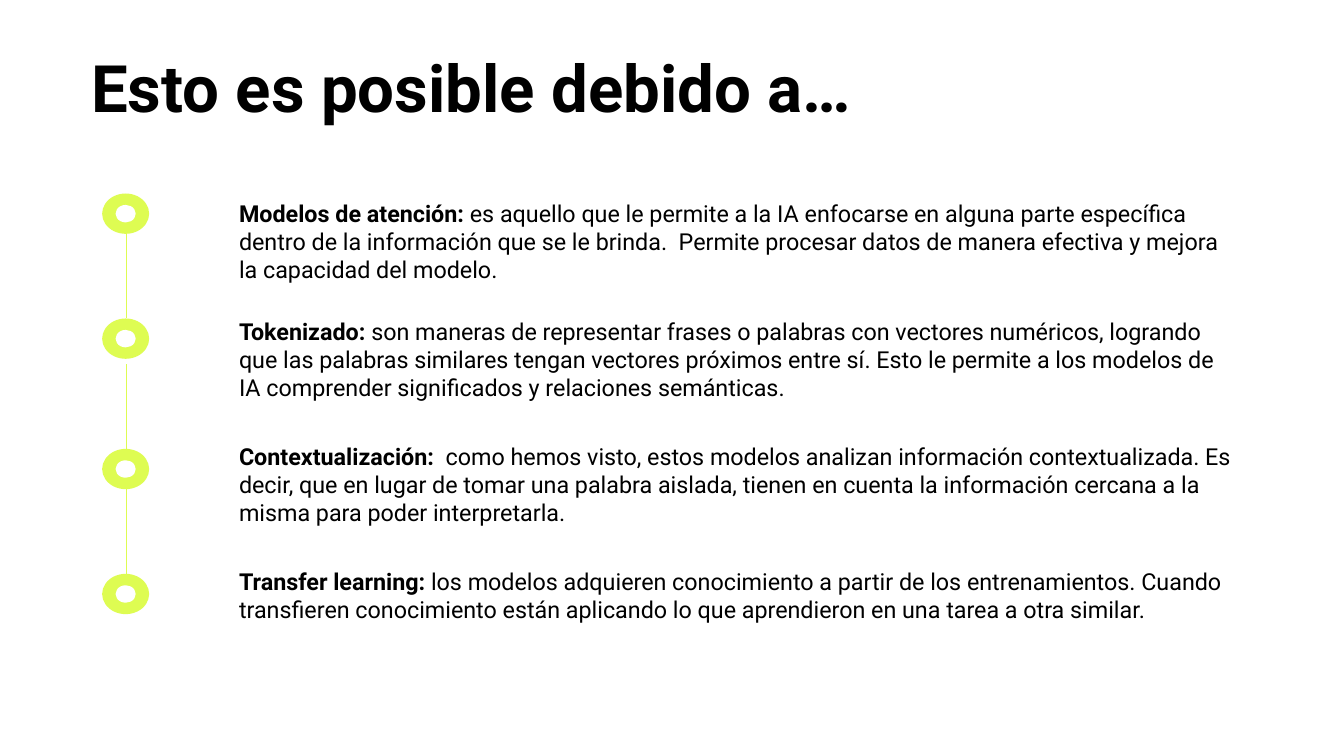
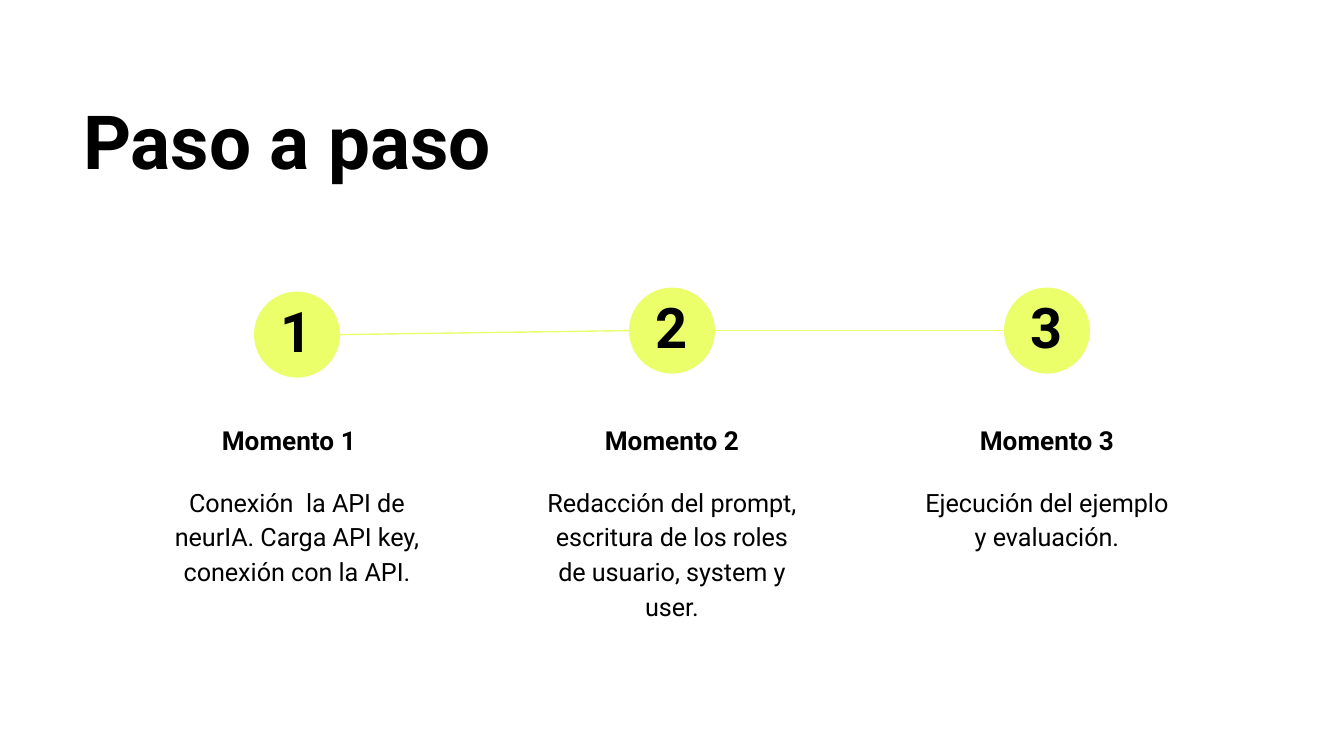
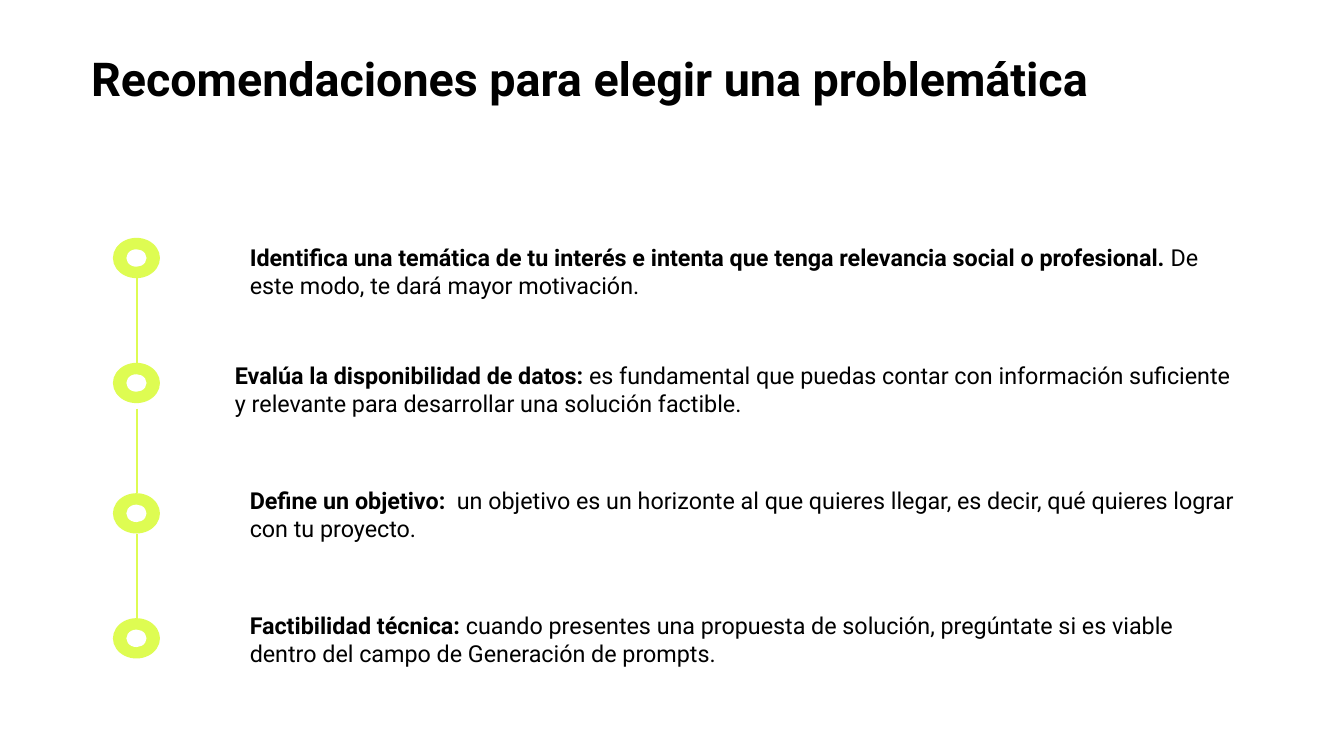
from lxml import etree
from pptx import Presentation
from pptx.dml.color import RGBColor
from pptx.enum.shapes import MSO_CONNECTOR, MSO_SHAPE
from pptx.enum.text import MSO_ANCHOR, PP_ALIGN
from pptx.oxml.ns import qn
from pptx.util import Inches, Pt

BLACK = RGBColor(0x00, 0x00, 0x00)
WHITE = RGBColor(0xFF, 0xFF, 0xFF)
LIME = RGBColor(0xDE, 0xFC, 0x52)
PALE_LIME = RGBColor(0xEA, 0xFF, 0x6A)
FONT = "Roboto"
LEFT, CENTER = PP_ALIGN.LEFT, PP_ALIGN.CENTER
TOP = MSO_ANCHOR.TOP
OVAL = MSO_SHAPE.OVAL
STRAIGHT = MSO_CONNECTOR.STRAIGHT

# Timeline: offsets from the top of its first ring
RING_OFFSETS = (0, 0.93, 1.9, 2.83)
TEXT_OFFSETS = (-0.06, 0.82, 1.75, 2.68)
TEXT_W = 7.59
RING_W, RING_H = 0.35, 0.3
HOLE_W, HOLE_H = 0.15, 0.13
AXIS = 0.18
LINK_LENGTH = 0.63

# Steps: three equal columns
FIRST_CENTER, COLUMN_STEP = 2.21, 2.79
CIRCLE = 0.64
LABEL_W, BODY_W = 2.14, 2.13
NUMBER_W, NUMBER_H = 0.45, 0.66


class Deck:
    """Holds the shared style and the slide being built."""

    def __init__(self):
        self.prs = Presentation()
        self.prs.slide_width = Inches(10)
        self.prs.slide_height = Inches(10) * 9 // 16
        self.slide = None

    def new_slide(self):
        self.slide = self.prs.slides.add_slide(self.prs.slide_layouts[6])
        self.slide.background.fill.solid()
        self.slide.background.fill.fore_color.rgb = WHITE

    def text(self, x, y, w, h, parts, size, align=LEFT, spacing=None):
        """Add one paragraph; parts are (wording, bold) pairs."""
        box = self.slide.shapes.add_textbox(Inches(x), Inches(y), Inches(w), Inches(h))
        frame = box.text_frame
        frame.word_wrap = True
        frame.vertical_anchor = TOP
        frame.margin_left = frame.margin_right = Inches(0.1)
        frame.margin_top = frame.margin_bottom = Inches(0.1)
        paragraph = frame.paragraphs[0]
        paragraph.alignment = align
        if spacing:
            paragraph.line_spacing = spacing
        for wording, bold in parts:
            run = paragraph.add_run()
            run.text = wording
            run.font.name = FONT
            run.font.size = Pt(size)
            run.font.bold = bold
            run.font.color.rgb = BLACK

    def title(self, x, y, w, h, wording, size):
        self.text(x, y, w, h, [(wording, True)], size, spacing=0.9)

    def ellipse(self, x, y, w, h, color):
        oval = self.slide.shapes.add_shape(OVAL, Inches(x), Inches(y), Inches(w), Inches(h))
        oval.shadow.inherit = False
        oval.fill.solid()
        oval.fill.fore_color.rgb = color
        oval.line.fill.background()

    def line(self, x1, y1, x2, y2, color):
        link = self.slide.shapes.add_connector(
            STRAIGHT, Inches(x1), Inches(y1), Inches(x2), Inches(y2))
        link.line.color.rgb = color
        link.line.width = Pt(0.75)
        etree.SubElement(link._element.spPr, qn("a:effectLst"))

    def ring(self, x, y):
        self.ellipse(x, y, RING_W, RING_H, LIME)
        self.ellipse(x + (RING_W - HOLE_W) / 2, y + (RING_H - HOLE_H) / 2,
                     HOLE_W, HOLE_H, WHITE)

    def timeline(self, x, y, text_height, items):
        """Add linked rings with a text each; items are (heading, body, outdent)."""
        for offset, (heading, body, outdent) in zip(TEXT_OFFSETS, items):
            self.text(x + 0.92 - outdent, y + offset, TEXT_W + outdent, text_height,
                      [(heading, True), (body, False)], 12.5)
        for offset in RING_OFFSETS:
            self.ring(x, y + offset)
        for offset in RING_OFFSETS[1:]:
            self.line(x + AXIS, y + offset - LINK_LENGTH, x + AXIS, y + offset, LIME)

    def step(self, center, circle_top, number, label, label_shift, body, body_height):
        self.ellipse(center - CIRCLE / 2, circle_top, CIRCLE, CIRCLE, PALE_LIME)
        self.text(center - NUMBER_W / 2, circle_top - 0.01, NUMBER_W, NUMBER_H,
                  [(number, True)], 30, CENTER, 0.9)
        self.text(center - LABEL_W / 2 + label_shift, 3.02, LABEL_W, 0.44,
                  [(label, True)], 14, CENTER, 1.15)
        self.text(center - BODY_W / 2, 3.49, BODY_W, body_height,
                  [(body, False)], 13.5, CENTER, 1.15)


def build_reasons(deck):
    deck.new_slide()
    deck.timeline(0.76, 1.44, 0.83, [
        ("Modelos de atención: ",
         "es aquello que le permite a la IA enfocarse en alguna parte específica dentro de "
         "la información que se le brinda.  Permite procesar datos de manera efectiva y "
         "mejora la capacidad del modelo.", 0),
        ("Tokenizado: ",
         "son maneras de representar frases o palabras con vectores numéricos, logrando que "
         "las palabras similares tengan vectores próximos entre sí. Esto le permite a los "
         "modelos de IA comprender significados y relaciones semánticas.", 0),
        ("Contextualización: ",
         " como hemos visto, estos modelos analizan información contextualizada. Es decir, "
         "que en lugar de tomar una palabra aislada, tienen en cuenta la información cercana "
         "a la misma para poder interpretarla.", 0),
        ("Transfer learning:",
         " los modelos adquieren conocimiento a partir de los entrenamientos. Cuando "
         "transfieren conocimiento están aplicando lo que aprendieron en una tarea a otra "
         "similar.", 0),
    ])
    deck.title(0.58, 0.32, 7.79, 0.73, "Esto es posible debido a…", 35)


def build_steps(deck):
    deck.new_slide()
    deck.title(0.52, 0.68, 8.9, 0.81, "Paso a paso", 40)
    moments = [
        (2.17, -0.06, "Conexión  la API de neurIA. Carga API key, conexión con la API.", 0.95),
        (2.14, 0, "Redacción del prompt, escritura de los roles de usuario, system y user.", 1.21),
        (2.14, 0, "Ejecución del ejemplo y evaluación.", 0.69),
    ]
    centers = [FIRST_CENTER + i * COLUMN_STEP for i in range(len(moments))]
    middles = [moment[0] + CIRCLE / 2 for moment in moments]

    # Links between neighbouring circles
    for i in range(len(moments) - 1):
        deck.line(centers[i] + CIRCLE / 2, middles[i],
                  centers[i + 1] - CIRCLE / 2, middles[i + 1], PALE_LIME)

    for i, (circle_top, label_shift, body, body_height) in enumerate(moments):
        deck.step(centers[i], circle_top, str(i + 1), f"Momento {i + 1}",
                  label_shift, body, body_height)


def build_recommendations(deck):
    deck.new_slide()
    deck.timeline(0.84, 1.77, 0.62, [
        ("Identifica una temática de tu interés e intenta que tenga relevancia social o "
         "profesional. ",
         "De este modo, te dará mayor motivación.", 0),
        ("Evalúa la disponibilidad de datos: ",
         "es fundamental que puedas contar con información suficiente y relevante para "
         "desarrollar una solución factible.", 0.11),
        ("Define un objetivo: ",
         " un objetivo es un horizonte al que quieres llegar, es decir, qué quieres lograr "
         "con tu proyecto.", 0),
        ("Factibilidad técnica:",
         " cuando presentes una propuesta de solución, pregúntate si es viable dentro del "
         "campo de Generación de prompts.", 0),
    ])
    deck.title(0.58, 0.32, 7.79, 0.96, "Recomendaciones para elegir una problemática", 25)


def main():
    deck = Deck()
    build_reasons(deck)
    build_steps(deck)
    build_recommendations(deck)
    deck.prs.save("out.pptx")


if __name__ == "__main__":
    main()
